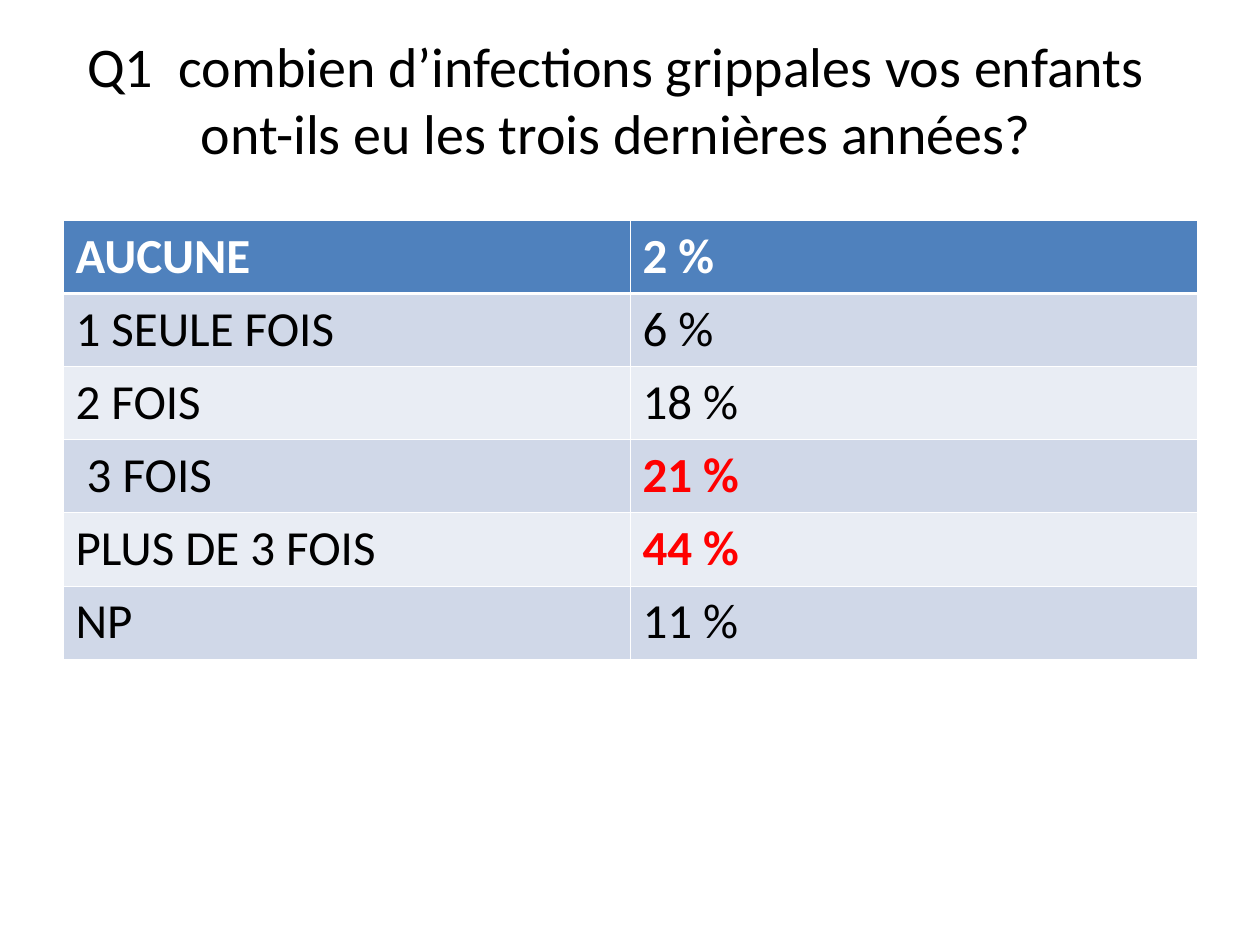
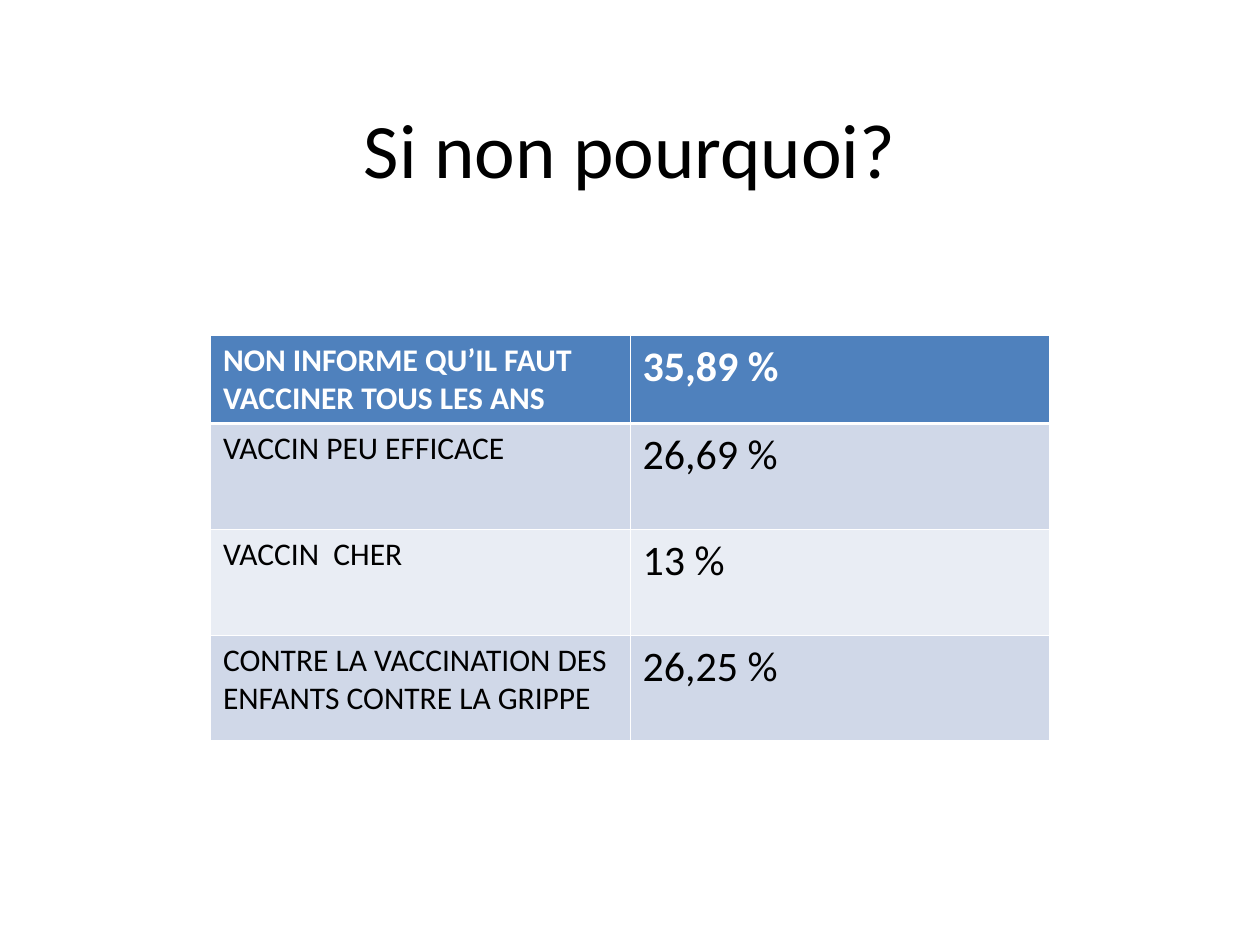
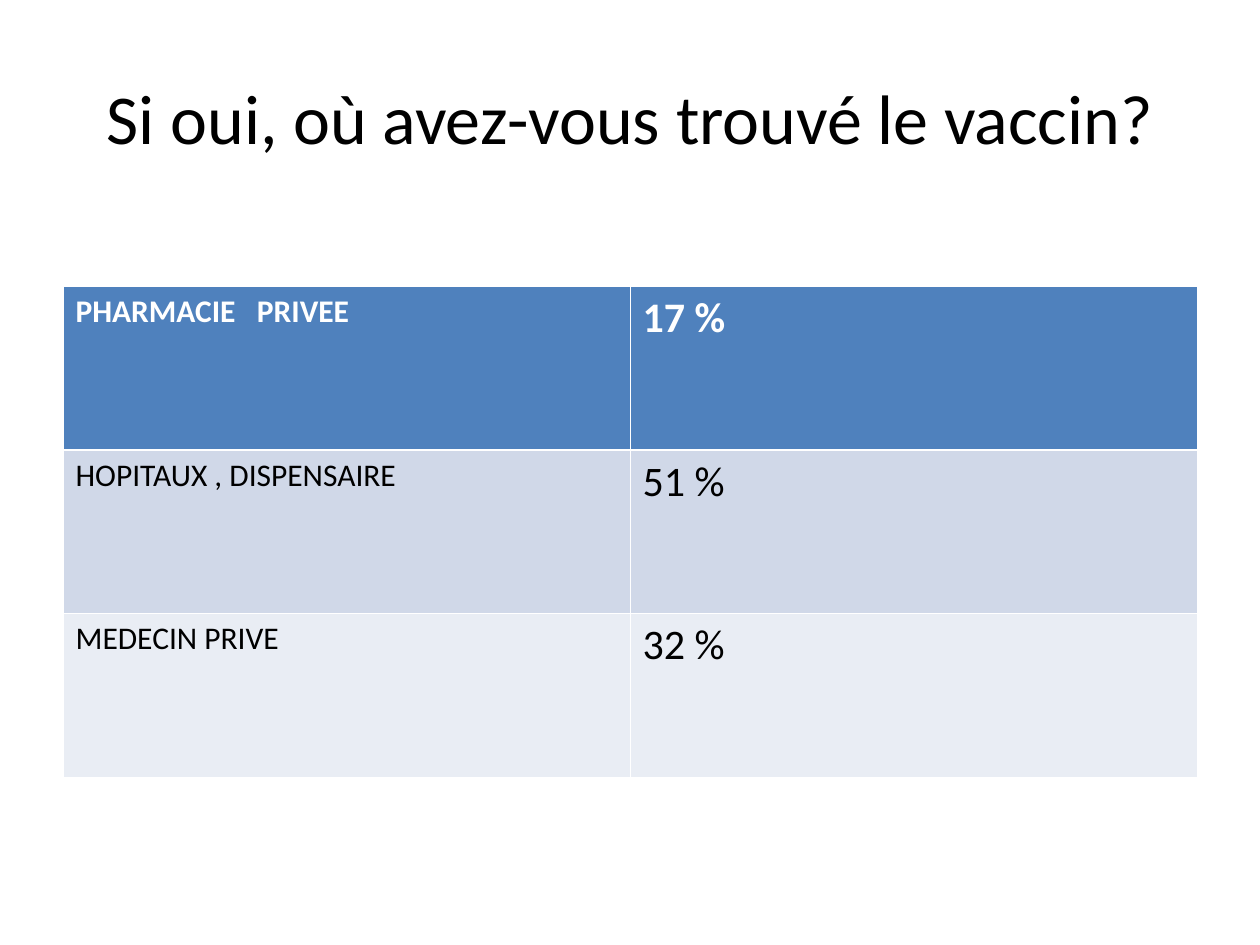
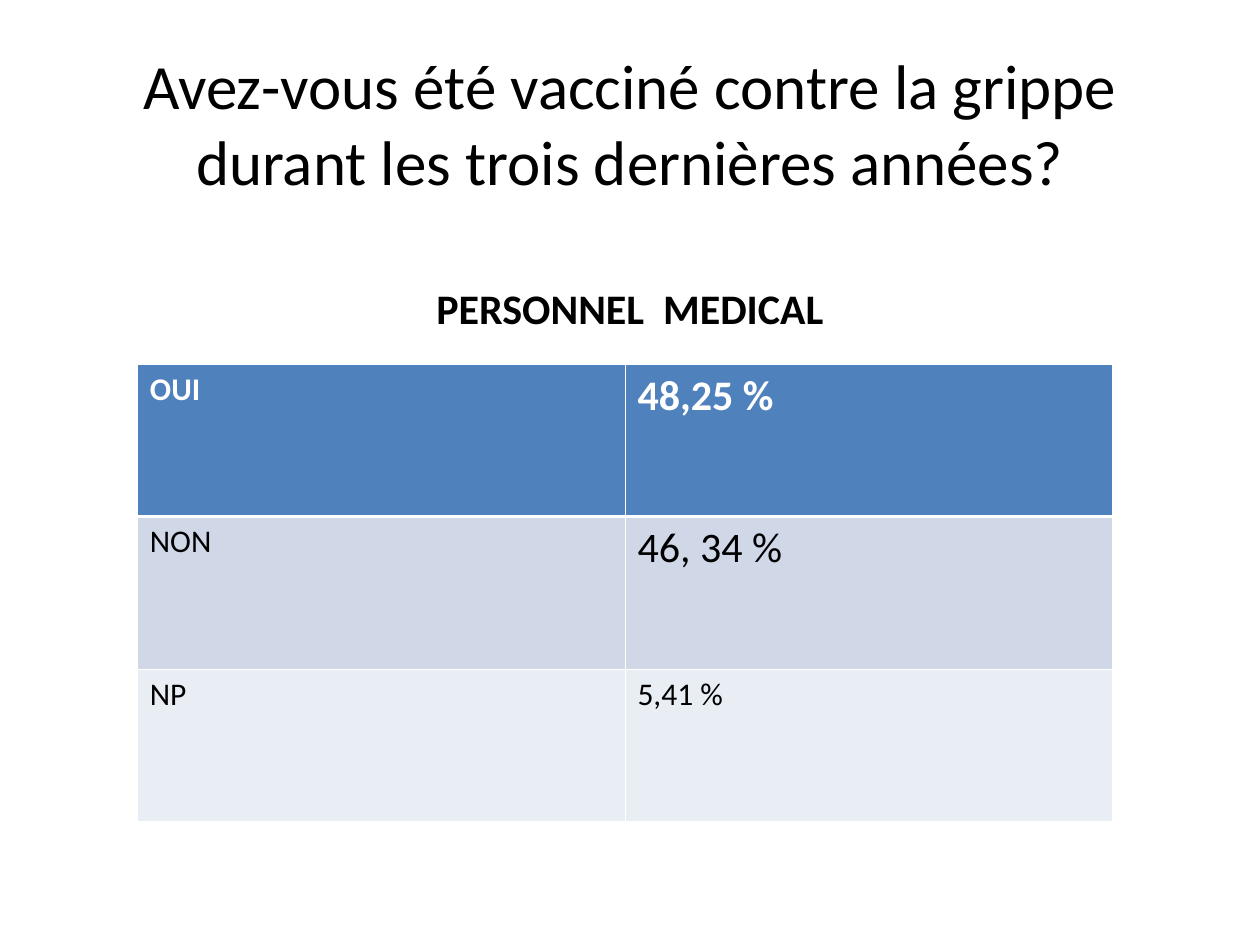
from dataclasses import dataclass

from lxml.etree import SubElement
from pptx import Presentation
from pptx.dml.color import RGBColor
from pptx.enum.text import MSO_ANCHOR, PP_ALIGN
from pptx.oxml.ns import qn
from pptx.slide import Slide
from pptx.table import _Cell
from pptx.text.text import TextFrame
from pptx.util import Emu, Pt

EMU_PER_PX = 9144
BLANK_LAYOUT = 6
FONT = "Calibri"
BLACK, WHITE, RED = "000000", "FFFFFF", "FF0000"
HEADER_FILL = "4F81BD"
BAND_FILLS = ("E9EDF4", "D0D8E8")
THIN, THICK = 0.45, 1.47


@dataclass(frozen=True)
class Box:
    left: int
    top: int
    width: int
    height: int


@dataclass(frozen=True)
class Label:
    text: str
    box: Box
    size: int
    bold: bool = False
    anchor: MSO_ANCHOR = MSO_ANCHOR.MIDDLE
    space_before: int = 0


@dataclass(frozen=True)
class Answer:
    text: str
    share: str
    share_size: int = 24
    highlighted: bool = False


@dataclass(frozen=True)
class AnswerTable:
    left: int
    top: int
    column_width: int
    row_heights: tuple[int, ...]
    answers: tuple[Answer, ...]
    answer_size: int = 18


@dataclass(frozen=True)
class Question:
    labels: tuple[Label, ...]
    table: AnswerTable


QUESTIONS = (
    Question(
        (Label("Q1  combien d’infections grippales vos enfants ont-ils eu les trois dernières années?",
               Box(39, 0, 900, 156), 32),),
        AnswerTable(50, 175, 450, (58,) * 6, (
            Answer("AUCUNE", "2 %", 28),
            Answer("1 SEULE FOIS", "6 %", 28),
            Answer("2 FOIS", "18 %", 28),
            Answer(" 3 FOIS", "21 %", 28, True),
            Answer("PLUS DE 3 FOIS", "44 %", 28, True),
            Answer("NP", "11 %", 28),
        ), 28),
    ),
    Question(
        (Label("Si non pourquoi?", Box(75, 47, 850, 141), 44),),
        AnswerTable(167, 266, 333, (70, 84, 84, 84), (
            Answer("NON INFORME QU’IL FAUT VACCINER TOUS LES ANS", "35,89 %"),
            Answer("VACCIN PEU EFFICACE", "26,69 %"),
            Answer("VACCIN  CHER", "13 %"),
            Answer("CONTRE LA VACCINATION DES ENFANTS CONTRE LA GRIPPE", "26,25 %"),
        )),
    ),
    Question(
        (Label("Si oui, où avez-vous trouvé le vaccin?", Box(50, 30, 900, 125), 40),),
        AnswerTable(50, 227, 450, (130,) * 3, (
            Answer("PHARMACIE   PRIVEE", "17 %"),
            Answer("HOPITAUX , DISPENSAIRE", "51 %"),
            Answer("MEDECIN PRIVE", "32 %"),
        )),
    ),
    Question(
        (Label("Avez-vous été vacciné contre la grippe durant les trois dernières années?",
               Box(75, 23, 850, 148), 36),
         Label("PERSONNEL  MEDICAL", Box(150, 219, 700, 375), 24, True, MSO_ANCHOR.TOP, 6)),
        AnswerTable(109, 289, 387, (121,) * 3, (
            Answer("OUI", "48,25 %"),
            Answer("NON", "46, 34 %"),
            Answer("NP", "5,41 %", 18),
        )),
    ),
)


def px(length: int) -> Emu:
    return Emu(length * EMU_PER_PX)


def color(value: str) -> RGBColor:
    return RGBColor.from_string(value)


def apply_format(target: object, values: dict[str, object]) -> None:
    for name, value in values.items():
        setattr(target, name, value)


def write_text(frame: TextFrame, text: str, size: int, bold: bool, text_color: str) -> None:
    run = frame.paragraphs[0].add_run()
    run.text = text
    apply_format(run.font, {"name": FONT, "size": Pt(size), "bold": bold})
    run.font.color.rgb = color(text_color)


def add_label(slide: Slide, label: Label) -> None:
    box = label.box
    shape = slide.shapes.add_textbox(px(box.left), px(box.top), px(box.width), px(box.height))
    frame = shape.text_frame
    apply_format(frame, {"word_wrap": True, "vertical_anchor": label.anchor})
    apply_format(frame.paragraphs[0],
                 {"alignment": PP_ALIGN.CENTER, "space_before": Pt(label.space_before)})
    write_text(frame, label.text, label.size, label.bold, BLACK)


def set_borders(cell: _Cell, top: float, bottom: float) -> None:
    properties = cell._tc.get_or_add_tcPr()
    for side, width in {"L": THIN, "R": THIN, "T": top, "B": bottom}.items():
        line = SubElement(properties, qn(f"a:ln{side}"), w=str(int(Pt(width))))
        fill = SubElement(line, qn("a:solidFill"))
        SubElement(fill, qn("a:srgbClr"), val=WHITE)


def add_answer_table(slide: Slide, layout: AnswerTable) -> None:
    shape = slide.shapes.add_table(
        len(layout.answers), 2, px(layout.left), px(layout.top),
        px(2 * layout.column_width), px(sum(layout.row_heights)))
    table = shape.table
    for column in table.columns:
        column.width = px(layout.column_width)
    for index, answer in enumerate(layout.answers):
        table.rows[index].height = px(layout.row_heights[index])
        is_header = index == 0
        row_fill = HEADER_FILL if is_header else BAND_FILLS[index % 2]
        row_color = WHITE if is_header else BLACK
        share_color = RED if answer.highlighted else row_color
        contents = (
            (answer.text, layout.answer_size, is_header, row_color),
            (answer.share, answer.share_size, is_header or answer.highlighted, share_color),
        )
        for cell, content in zip(table.rows[index].cells, contents):
            set_borders(cell, THICK if index == 1 else THIN, THICK if is_header else THIN)
            cell.fill.solid()
            cell.fill.fore_color.rgb = color(row_fill)
            write_text(cell.text_frame, *content)


def main() -> None:
    presentation = Presentation()
    apply_format(presentation, {"slide_width": px(1000), "slide_height": px(750)})
    for question in QUESTIONS:
        slide = presentation.slides.add_slide(presentation.slide_layouts[BLANK_LAYOUT])
        for label in question.labels:
            add_label(slide, label)
        add_answer_table(slide, question.table)
    presentation.save("out.pptx")


if __name__ == "__main__":
    main()
